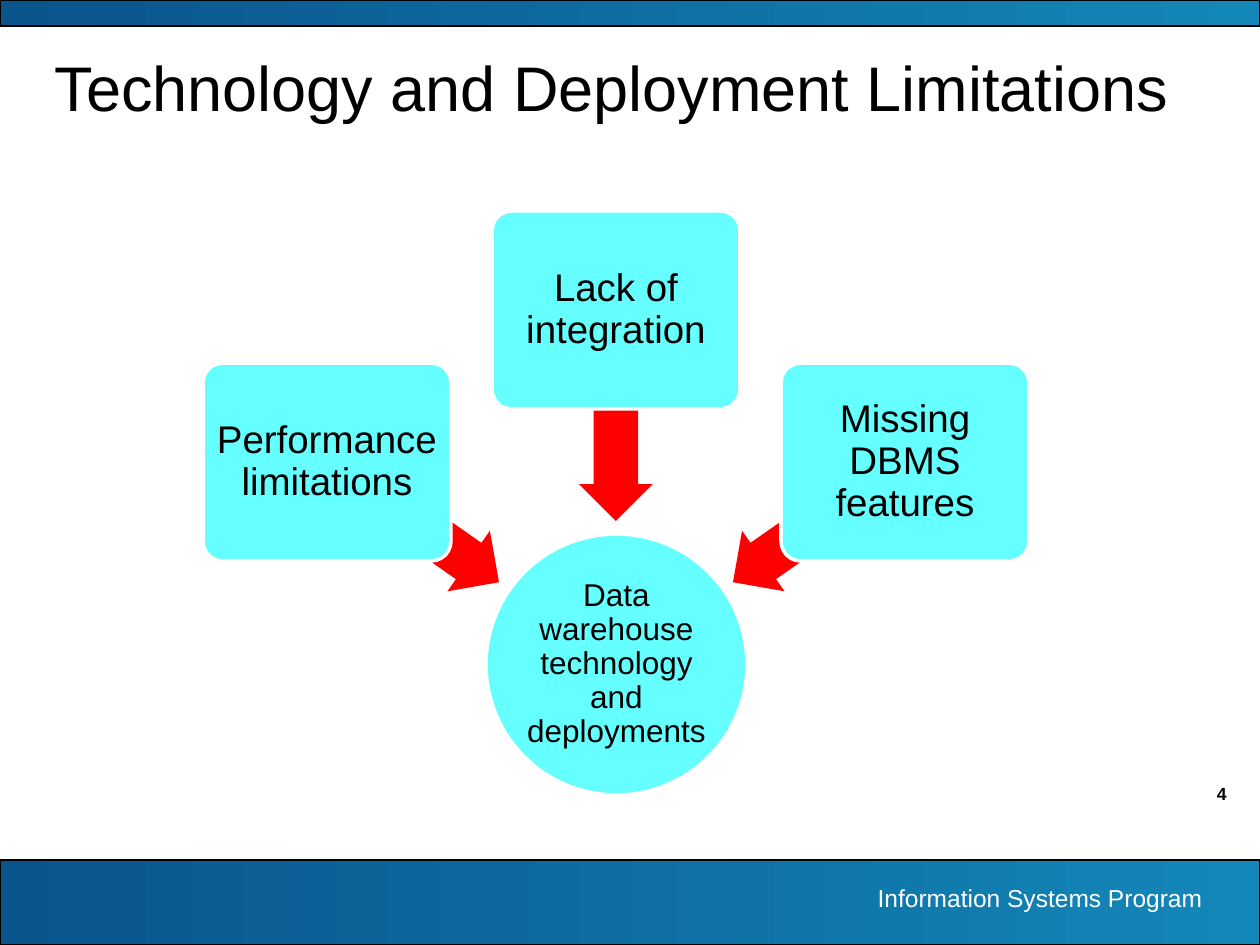
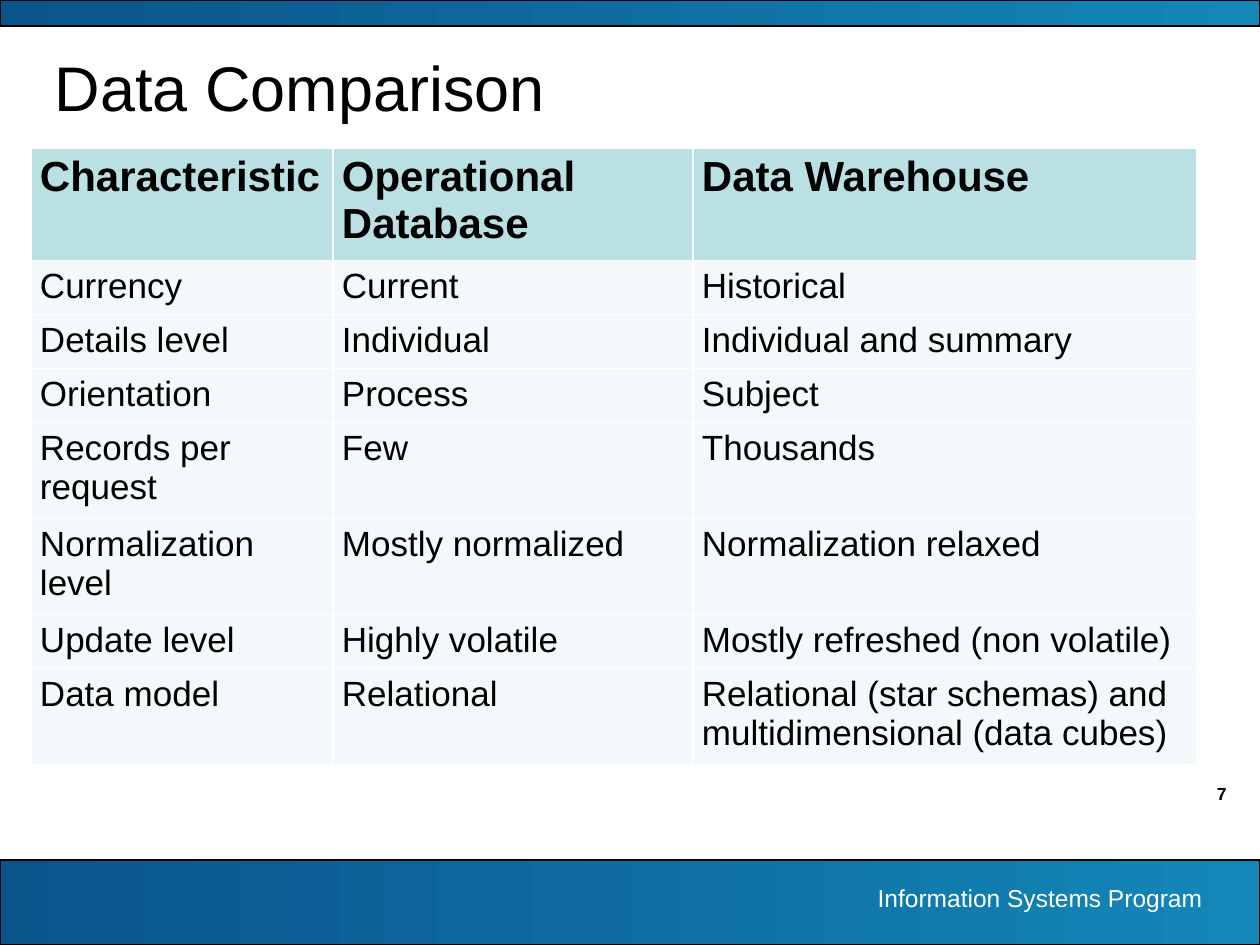
"""Builds two data warehouse slides: a limitations diagram and a comparison table."""
from pptx import Presentation
from pptx import util as u
from pptx.dml.color import RGBColor
from pptx.enum import shapes, text

BLACK = RGBColor(0x00, 0x00, 0x00)
WHITE = RGBColor(0xFF, 0xFF, 0xFF)
NAVY = RGBColor(0x0A, 0x54, 0x8C)
BLUE = RGBColor(0x13, 0x87, 0xB8)
CYAN = RGBColor(0x66, 0xFF, 0xFF)
RED = RGBColor(0xFF, 0x00, 0x00)
HEADER_TINT = RGBColor(0xBB, 0xE0, 0xE3)
ROW_TINT = RGBColor(0xF3, 0xF9, 0xFA)

FONT = "Arial"
LEFT, CENTER, RIGHT = text.PP_ALIGN.LEFT, text.PP_ALIGN.CENTER, text.PP_ALIGN.RIGHT
MIDDLE = text.MSO_ANCHOR.MIDDLE
KIND = shapes.MSO_SHAPE


def px(*lengths):
    """Turn pixels at 126 to the inch into EMU."""
    return [u.Emu(round(length * 914400 / 126)) for length in lengths]


def write(frame, words, size, align=LEFT, color=BLACK, bold=False, spacing=None, **frame_format):
    """Put one formatted paragraph into a text frame."""
    frame.word_wrap = True
    for name, value in frame_format.items():
        setattr(frame, name, value)
    paragraph = frame.paragraphs[0]
    paragraph.alignment = align
    paragraph.line_spacing = spacing
    run = paragraph.add_run()
    run.text = words
    run.font.color.rgb = color
    for name, value in {"name": FONT, "size": u.Pt(size), "bold": bold}.items():
        setattr(run.font, name, value)


deck = Presentation()
deck.slide_width, deck.slide_height = px(1260, 945)

pages = []
for heading, number in [("Technology and Deployment Limitations", "4"), ("Data Comparison", "7")]:
    page = deck.slides.add_slide(deck.slide_layouts[5])
    pages.append(page)

    for top, height in [(860, 85), (0, 26)]:
        band = page.shapes.add_shape(KIND.RECTANGLE, *px(0, top, 1260, height))
        band.shadow.inherit = False
        band.fill.gradient()
        band.fill.gradient_angle = 0
        for stop, color in zip(band.fill.gradient_stops, (NAVY, BLUE)):
            stop.color.rgb = color
        band.line.color.rgb = BLACK
        band.line.width = u.Pt(0.75)

    page_number = page.shapes.add_textbox(*px(1134, 777, 105, 34))
    write(page_number.text_frame, number, 10, RIGHT, bold=True)
    program = page.shapes.add_textbox(*px(700, 877, 515, 43))
    write(program.text_frame, "Information Systems Program", 14, RIGHT, WHITE)

    title = page.shapes.title
    title.left, title.top, title.width, title.height = px(42, 39, 1155, 94)
    write(title.text_frame, heading, 36, vertical_anchor=MIDDLE)

diagram, comparison = pages

limitations = [
    ("Performance limitations", (203, 363), (308, 485), 215),
    ("Lack of integration", (492, 211), (511, 379), 270),
    ("Missing DBMS features", (781, 363), (714, 485), 325),
]
nodes = [(KIND.OVAL, (486, 534, 261, 261), "Data warehouse technology and deployments", 18, 1, None)]
for words, corner, arrow_corner, angle in limitations:
    nodes.append((KIND.LEFT_ARROW, (*arrow_corner, 210, 74), None, None, None, angle))
    nodes.append((KIND.ROUNDED_RECTANGLE, (*corner, 248, 198), words, 22, 6, None))

for kind, box, words, size, inset, angle in nodes:
    node = diagram.shapes.add_shape(kind, *px(*box))
    node.shadow.inherit = False
    node.fill.solid()
    if kind == KIND.LEFT_ARROW:
        node.rotation = angle
        node.adjustments[0], node.adjustments[1] = 0.6, 0.5
        node.fill.fore_color.rgb = RED
        node.line.fill.background()
        continue
    if kind == KIND.ROUNDED_RECTANGLE:
        node.adjustments[0] = 0.1
    node.fill.fore_color.rgb = CYAN
    node.line.color.rgb = WHITE
    node.line.width = u.Pt(2)
    margins = {f"margin_{side}": px(inset)[0] for side in ("left", "top", "right", "bottom")}
    write(node.text_frame, words, size, CENTER, spacing=0.9, vertical_anchor=MIDDLE, **margins)

records = [
    ("Characteristic", "Operational Database", "Data Warehouse"),
    ("Currency", "Current", "Historical"),
    ("Details level", "Individual", "Individual and summary"),
    ("Orientation", "Process", "Subject"),
    ("Records per request", "Few", "Thousands"),
    ("Normalization level", "Mostly normalized", "Normalization relaxed"),
    ("Update level", "Highly volatile", "Mostly refreshed (non volatile)"),
    ("Data model", "Relational", "Relational (star schemas) and multidimensional (data cubes)"),
]
grid = comparison.shapes.add_table(len(records), 3, *px(31, 148, 1166, 416)).table
grid.horz_banding = False
for column, width in zip(grid.columns, px(302, 360, 504)):
    column.width = width

for r, record in enumerate(records):
    grid.rows[r].height = px(52)[0]
    is_header = r == 0
    for c, words in enumerate(record):
        cell = grid.cell(r, c)
        for side, inset in zip(("left", "top", "right", "bottom"), px(9, 6, 9, 6)):
            setattr(cell, f"margin_{side}", inset)
        write(cell.text_frame, words, 24 if is_header else 20, bold=is_header)
        cell.fill.solid()
        cell.fill.fore_color.rgb = HEADER_TINT if is_header else ROW_TINT

deck.save("out.pptx")
